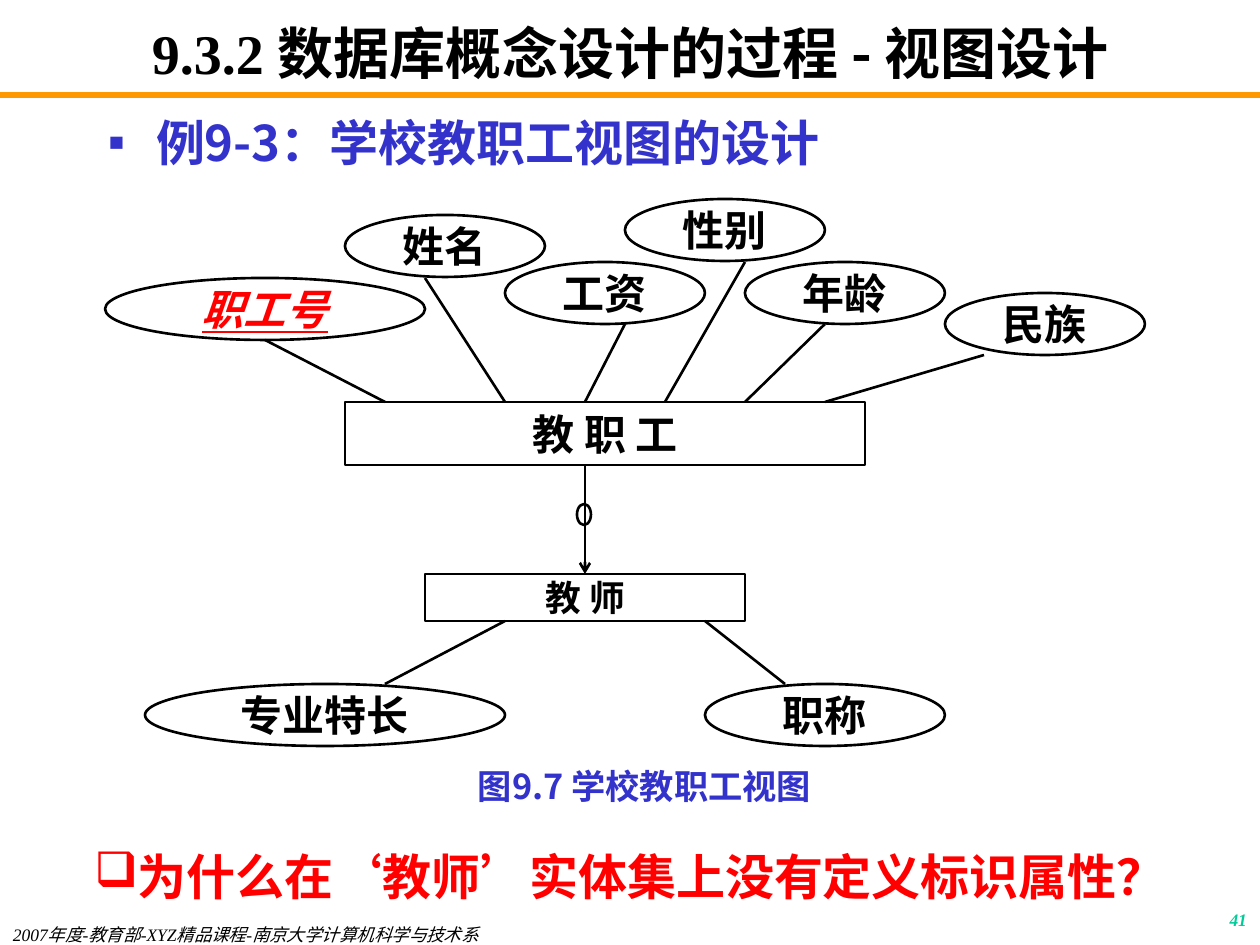
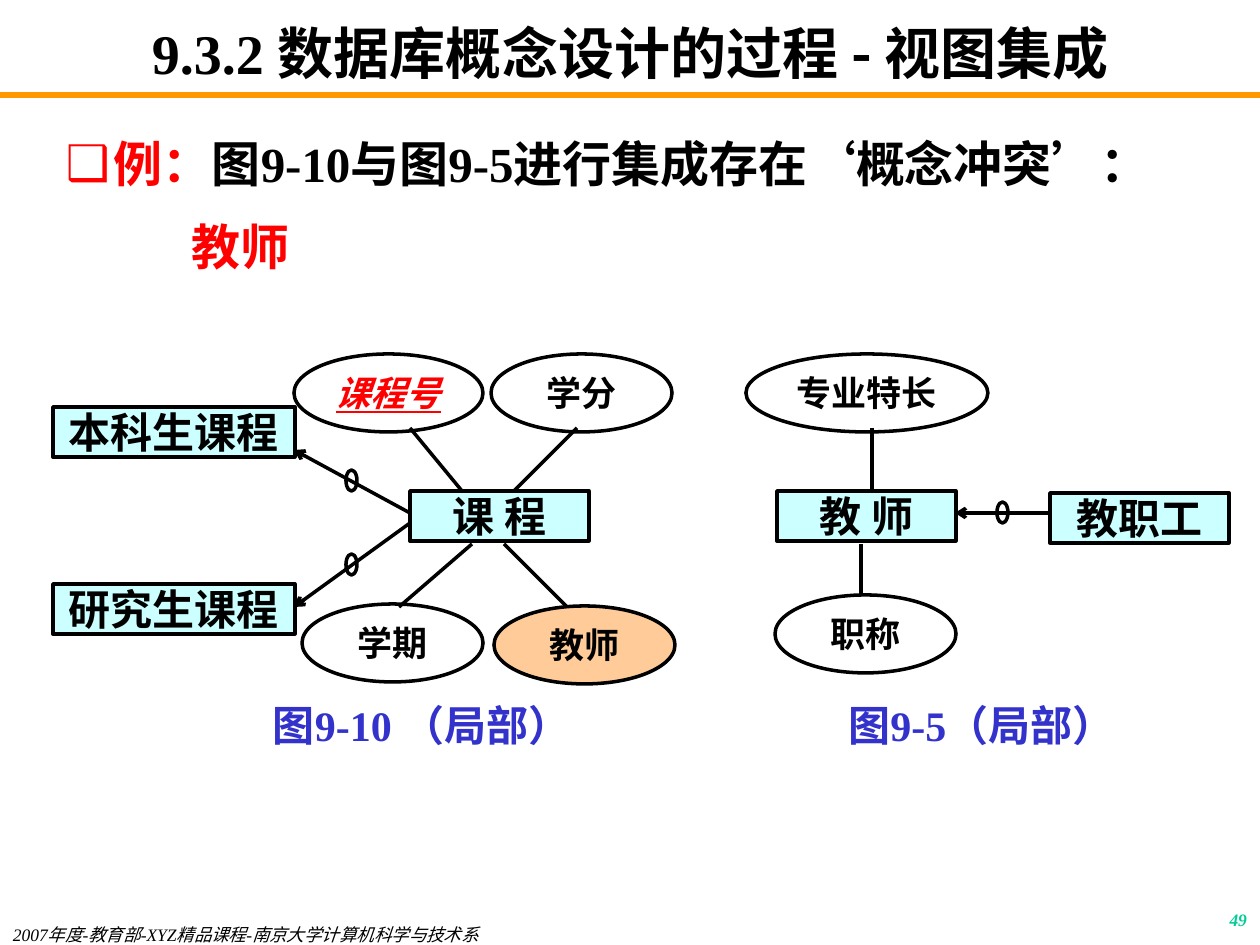
from dataclasses import dataclass
from lxml.etree import SubElement
from pptx import Presentation
from pptx.dml.color import RGBColor
from pptx.enum.shapes import MSO_CONNECTOR, MSO_SHAPE
from pptx.enum.text import MSO_ANCHOR, MSO_AUTO_SIZE, PP_ALIGN
from pptx.oxml.ns import qn
from pptx.util import Emu, Pt


@dataclass(frozen=True)
class Theme:
    black: str = "000000"
    white: str = "FFFFFF"
    red: str = "FF0000"
    blue: str = "3333CC"
    green: str = "00CC99"
    orange: str = "FF9900"
    entity: str = "CCFFFF"
    conflict: str = "FFCC99"
    serif: str = "Times New Roman"
    sans: str = "Noto Sans CJK SC"
    title: float = 32
    body: float = 28
    label: float = 24
    attribute: float = 20
    subtype: float = 20.4
    caption: float = 19.6
    footer: float = 10


THEME = Theme()
EMU_PER_PX = 914400 / 126
PADDING = (13, 6)
FOOTER = "2007年度-教育部-XYZ精品课程-南京大学计算机科学与技术系"


def px(length):
    return Emu(round(length * EMU_PER_PX))


class SlideBuilder:
    def __init__(self, deck, theme):
        self.deck = deck
        self.theme = theme
        self.page = None
        self.weight = 0

    def start(self, topic, number, weight):
        theme = self.theme
        self.page = self.deck.slides.add_slide(self.deck.slide_layouts[1])
        self.weight = weight
        self.line((0, 95), (1260, 95), theme.orange, 3)
        self.text(str(number), (998, 903, 262, 42), theme.footer, theme.green,
                  align=PP_ALIGN.RIGHT, anchor=MSO_ANCHOR.TOP, italic=True)
        self.text(FOOTER, (0, 924, 693, 21), theme.footer, theme.black, align=PP_ALIGN.LEFT,
                  anchor=MSO_ANCHOR.TOP, padding=(13, 0), bold=False, italic=True)
        title = self.page.shapes.title
        self.place(title, (95, 21, 1071, 63))
        self.prepare(title.text_frame, MSO_ANCHOR.MIDDLE, (13, 0))
        para = title.text_frame.paragraphs[0]
        para.alignment = PP_ALIGN.CENTER
        self.span(para, "9.3.2 ", theme.title, theme.black)
        self.span(para, f"数据库概念设计的过程 - {topic}", theme.title, theme.black, theme.sans)

    def place(self, shape, area):
        shape.left, shape.top, shape.width, shape.height = map(px, area)

    def prepare(self, frame, anchor, padding):
        frame.word_wrap = True
        frame.auto_size = MSO_AUTO_SIZE.NONE
        frame.vertical_anchor = anchor
        frame.margin_left = frame.margin_right = px(padding[0])
        frame.margin_top = frame.margin_bottom = px(padding[1])

    def span(self, para, text, size, color, face=None, bold=True, italic=False, underline=False):
        span = para.add_run()
        span.text = text
        font = span.font
        font.size = Pt(size)
        font.bold, font.italic, font.underline = bold, italic, underline
        font.color.rgb = RGBColor.from_string(color)
        font.name = face or self.theme.serif
        SubElement(font._element, qn("a:ea")).set("typeface", self.theme.sans)

    def bullet(self, para, symbol, color, margin=0, hanging=0):
        properties = para._p.get_or_add_pPr()
        properties.set("marL", str(px(margin)))
        properties.set("indent", str(-px(hanging)))
        if symbol:
            tint = SubElement(properties, qn("a:buClr"))
            SubElement(tint, qn("a:srgbClr")).set("val", color)
            SubElement(properties, qn("a:buChar")).set("char", symbol)
        else:
            SubElement(properties, qn("a:buNone"))

    def text(self, text, area, size, color, face=None, align=PP_ALIGN.CENTER,
             anchor=MSO_ANCHOR.MIDDLE, padding=PADDING, **style):
        box = self.page.shapes.add_textbox(*map(px, area))
        self.prepare(box.text_frame, anchor, padding)
        para = box.text_frame.paragraphs[0]
        para.alignment = align
        self.span(para, text, size, color, face, **style)
        return box

    def body(self, area, items, spacing):
        holder = self.page.placeholders[1]
        self.place(holder, area)
        frame = holder.text_frame
        self.prepare(frame, MSO_ANCHOR.TOP, PADDING)
        for index, (level, symbol, color, margin, hanging, spans) in enumerate(items):
            para = frame.add_paragraph() if index else frame.paragraphs[0]
            para.level = level
            para.line_spacing = spacing
            para.space_before = Pt(7)
            self.bullet(para, symbol, color, margin, hanging)
            for text, tint, face in spans:
                self.span(para, text, self.theme.body, tint, face)

    def shape(self, kind, area, fill=None):
        shape = self.page.shapes.add_shape(kind, *map(px, area))
        shape.shadow.inherit = False
        if fill:
            shape.fill.solid()
            shape.fill.fore_color.rgb = RGBColor.from_string(fill)
        else:
            shape.fill.background()
        shape.line.color.rgb = RGBColor.from_string(self.theme.black)
        shape.line.width = Pt(self.weight)
        return shape

    def node(self, kind, label, area, size, fill, key=False):
        shape = self.shape(kind, area, fill)
        self.prepare(shape.text_frame, MSO_ANCHOR.MIDDLE, (1, 1))
        para = shape.text_frame.paragraphs[0]
        para.alignment = PP_ALIGN.CENTER
        color = self.theme.red if key else self.theme.black
        self.span(para, label, size, color, italic=key, underline=key)

    def entity(self, label, area, size, fill):
        self.node(MSO_SHAPE.RECTANGLE, label, area, size, fill)

    def attribute(self, label, area, size, fill=None, key=False):
        self.node(MSO_SHAPE.OVAL, label, area, size, fill or self.theme.white, key)

    def ring(self, area):
        self.shape(MSO_SHAPE.OVAL, area)

    def line(self, start, end, color=None, weight=None, arrow=False):
        link = self.page.shapes.add_connector(MSO_CONNECTOR.STRAIGHT, *map(px, start + end))
        link.line.color.rgb = RGBColor.from_string(color or self.theme.black)
        link.line.width = Pt(weight or self.weight)
        if arrow:
            SubElement(link.line._get_or_add_ln(), qn("a:tailEnd")).set("type", "arrow")
        SubElement(link._element.spPr, qn("a:effectLst"))


def build_view_design(builder):
    theme = builder.theme
    builder.start("视图设计", 41, 1.5)
    builder.body((95, 106, 1071, 95), [
        (0, "▪", theme.blue, 48, 48, [("例9-3：学校教职工视图的设计", theme.blue, theme.sans)]),
    ], 1.0)
    attributes = [
        ("职称", 705, 684, 240), ("专业特长", 145, 684, 360), ("工资", 505, 262, 200),
        ("年龄", 745, 262, 200), ("职工号", 105, 278, 320), ("姓名", 345, 215, 200),
        ("性别", 625, 199, 200), ("民族", 945, 293, 200),
    ]
    for label, left, top, width in attributes:
        builder.attribute(label, (left, top, width, 62), theme.label, key=label == "职工号")
    builder.entity("教 职 工", (345, 402, 520, 63), theme.label, theme.white)
    builder.entity("教 师", (425, 574, 320, 47), theme.subtype, theme.white)
    staff_links = [(265, 340, 385), (425, 278, 505), (625, 324, 585),
                   (745, 262, 665), (825, 324, 745), (984, 355, 825)]
    for left, top, target in staff_links:
        builder.line((left, top), (target, 402))
    for source, target in ((505, 385), (705, 785)):
        builder.line((source, 621), (target, 684))
    builder.line((585, 465), (585, 574), arrow=True)
    builder.ring((577, 504, 14, 21))
    builder.text("图9.7 学校教职工视图", (305, 762, 679, 47), theme.caption, theme.blue, theme.sans)
    question = builder.text("为什么在‘教师’实体集上没有定义标识属性？", (0, 840, 1260, 72),
                            theme.body, theme.red)
    question.fill.solid()
    question.fill.fore_color.rgb = RGBColor.from_string(theme.white)
    builder.bullet(question.text_frame.paragraphs[0], "❑", theme.red)


def build_view_integration(builder):
    theme = builder.theme
    builder.start("视图集成", 49, 2)
    builder.body((53, 116, 1176, 208), [
        (0, "❑", theme.red, 48, 48, [
            ("例：", theme.red, theme.serif),
            ("图9-10与图9-5进行集成存在‘概念冲突’：", theme.black, theme.serif),
        ]),
        (1, None, None, 126, 0, [("教师", theme.red, theme.serif)]),
    ], 1.2)
    entities = [
        ("课 程", 410, 491, 179), ("本科生课程", 53, 407, 242), ("研究生课程", 53, 584, 242),
        ("教 师", 777, 491, 179), ("教职工", 1050, 493, 179),
    ]
    for label, left, top, width in entities:
        builder.entity(label, (left, top, width, 50), theme.label, theme.entity)
    attributes = [
        ("课程号", 294, 354, 189), ("学分", 491, 354, 181), ("学期", 302, 604, 181),
        ("教师", 494, 606, 181), ("职称", 775, 595, 181), ("专业特长", 746, 354, 242),
    ]
    for label, left, top, width in attributes:
        fill = theme.conflict if label == "教师" else theme.white
        builder.attribute(label, (left, top, width, 78), theme.attribute, fill, label == "课程号")
    for source, target in ((410, 462), (577, 514), (872, 872)):
        builder.line((source, 428), (target, 491))
    for source, target in ((399, 472), (567, 504), (861, 861)):
        builder.line((source, 607 if source != target else 596), (target, 544))
    subtype_links = [((410, 513), (294, 450), (346, 470)),
                     ((410, 523), (294, 607), (346, 554)),
                     ((1050, 513), (955, 513), (997, 502))]
    for start, end, corner in subtype_links:
        builder.line(start, end, arrow=True)
        builder.ring(corner + (11, 21))
    for caption, left, width in (("图9-10 （局部）", 242, 359), ("图9-5（局部）", 819, 325)):
        builder.text(caption, (left, 693, width, 63), theme.label, theme.blue)


def main():
    deck = Presentation()
    deck.slide_width, deck.slide_height = px(1260), px(945)
    builder = SlideBuilder(deck, THEME)
    build_view_design(builder)
    build_view_integration(builder)
    deck.save("out.pptx")


if __name__ == "__main__":
    main()
